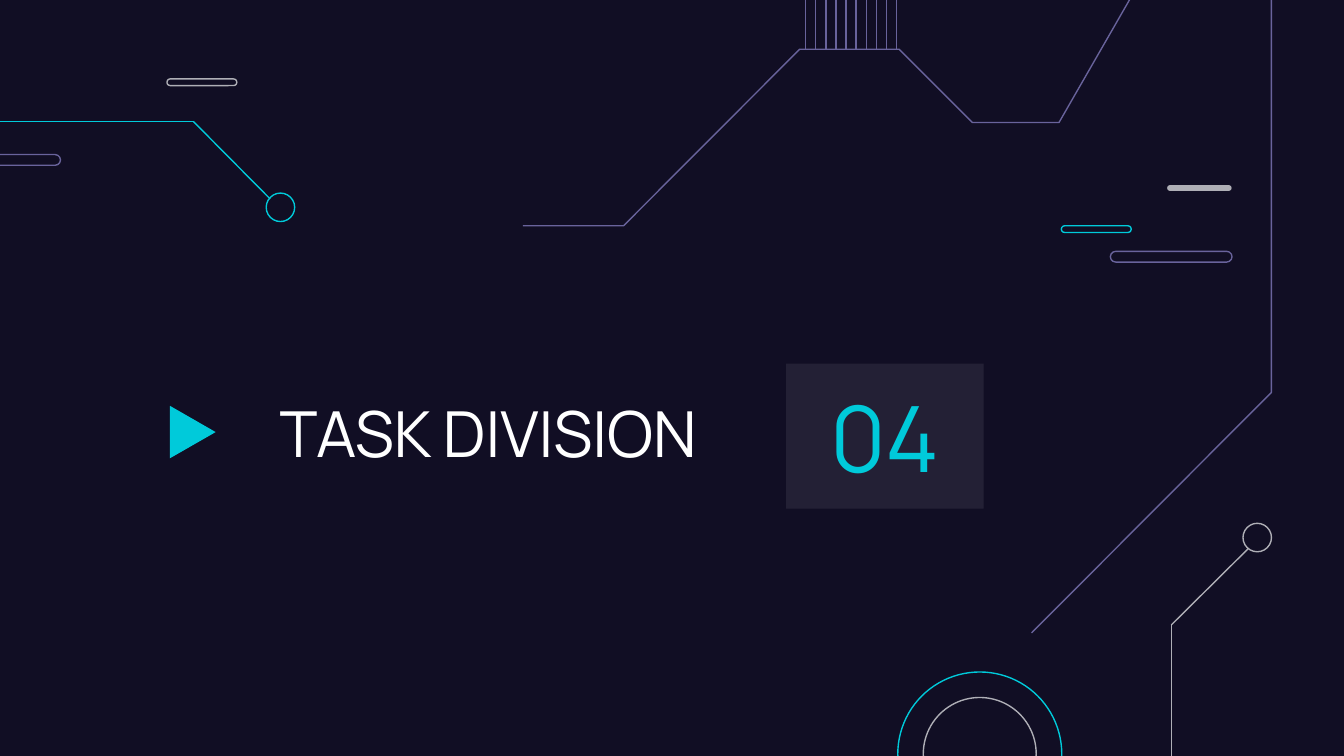
from lxml.etree import SubElement
from pptx import Presentation
from pptx.dml.color import RGBColor
from pptx.enum.shapes import MSO_CONNECTOR as Link, MSO_SHAPE as Preset
from pptx.enum.text import MSO_ANCHOR as Anchor, MSO_AUTO_SIZE as Fit, PP_ALIGN as Align
from pptx.oxml.ns import qn
from pptx.util import Inches, Pt

COLORS = {
    "night": "110E24",
    "violet": "69639C",
    "cyan": "00CADA",
    "silver": "AFAFB6",
    "white": "FFFFFF",
}
COLUMNS = 100


def rgb(name):
    return RGBColor.from_string(COLORS[name])


def write(frame, text, size=34, color="white", align=Align.LEFT, font="Manrope"):
    frame.word_wrap = True
    frame.auto_size = Fit.NONE
    frame.vertical_anchor = Anchor.MIDDLE
    frame.margin_left = frame.margin_right = Inches(0.1)
    frame.margin_top = frame.margin_bottom = Inches(0.1)
    paragraph = frame.paragraphs[0]
    paragraph.alignment = align
    run = paragraph.add_run()
    run.text = text
    run.font.name = font
    run.font.size = Pt(size)
    run.font.color.rgb = rgb(color)


class CircuitSlide:
    def __init__(self, deck, stroke=0.75):
        self.cell = deck.slide_width / COLUMNS
        self.stroke = Pt(stroke)
        self.slide = deck.slides.add_slide(deck.slide_layouts[5])
        self.shapes = self.slide.shapes
        backdrop = self.slide.background.fill
        backdrop.solid()
        backdrop.fore_color.rgb = rgb("night")

    def grid(self, *cells):
        return [round(cell * self.cell) for cell in cells]

    def outline(self, line, color):
        line.color.rgb = rgb(color)
        line.width = self.stroke

    def title(self, text, *box):
        heading = self.shapes.title
        heading.left, heading.top, heading.width, heading.height = self.grid(*box)
        write(heading.text_frame, text)

    def shape(self, preset, box, line=None, fill=None, opacity=100):
        item = self.shapes.add_shape(preset, *self.grid(*box))
        item.shadow.inherit = False
        if fill:
            item.fill.solid()
            item.fill.fore_color.rgb = rgb(fill)
            if opacity < 100:
                tint = item.fill._xPr.find(".//" + qn("a:srgbClr"))
                SubElement(tint, qn("a:alpha"), val=str(opacity * 1000))
        else:
            item.fill.background()
        if line:
            self.outline(item.line, line)
        else:
            item.line.fill.background()
        return item

    def pill(self, *box, **look):
        self.shape(Preset.ROUNDED_RECTANGLE, box, **look).adjustments[0] = 0.5

    def ring(self, x, y, radius, color):
        box = (x - radius, y - radius, 2 * radius, 2 * radius)
        self.shape(Preset.OVAL, box, line=color)

    def wire(self, start, end, color):
        wire = self.shapes.add_connector(Link.STRAIGHT, *self.grid(*start, *end))
        self.outline(wire.line, color)
        SubElement(wire._element.spPr, qn("a:effectLst"))

    def trace(self, points, color):
        first, *others = [self.grid(*point) for point in points]
        builder = self.shapes.build_freeform(*first)
        builder.add_line_segments(others, close=False)
        track = builder.convert_to_shape()
        track.shadow.inherit = False
        track.fill.background()
        self.outline(track.line, color)


def main():
    deck = Presentation()
    deck.slide_width = Inches(10)
    deck.slide_height = deck.slide_width * 9 // 16
    page = CircuitSlide(deck)

    for tooth in range(10):
        x = 59.95 + tooth * 0.75
        page.wire((x, 3.65), (x, -38.6), "violet")

    page.ring(72.9, 56.1, 6.1, "cyan")
    page.ring(72.9, 56.1, 4.2, "silver")

    page.pill(12.42, 5.87, 5.2, 0.5, line="silver")
    page.pill(-4.5, 11.5, 9, 0.8, line="violet")

    page.title("TASK DIVISION", 19.8, 26.75, 40, 10.8)
    number = page.shape(Preset.RECTANGLE, (58.5, 27.05, 14.7, 10.8), fill="white", opacity=8)
    write(number.text_frame, "04", size=49, color="cyan", align=Align.CENTER)
    pointer = page.shape(Preset.FLOWCHART_MERGE, (12.4, 30.45, 3.9, 3.4), fill="cyan")
    pointer.rotation = 270

    page.trace([(76.75, 47.1), (94.6, 29.2), (94.6, -17.7)], "violet")
    page.trace([(38.9, 16.8), (46.4, 16.8), (59.5, 3.67), (66.9, 3.67),
                (72.35, 9.12), (78.8, 9.12), (86.8, -4.8), (104.6, -4.8)], "violet")

    for bend, edge, tip, node, color in (
        ((87.15, 46.5), (87.15, 75.7), (92.9, 40.8), (93.55, 40), "silver"),
        ((14.4, 9.05), (-14.8, 9.05), (20.1, 14.8), (20.87, 15.43), "cyan"),
    ):
        page.wire(bend, edge, color)
        page.wire(bend, tip, color)
        page.ring(*node, 1.06, color)

    page.pill(86.84, 13.77, 4.8, 0.44, fill="silver")
    page.pill(78.97, 16.8, 5.2, 0.5, line="cyan")
    page.pill(82.62, 18.7, 9.05, 0.8, line="violet")

    deck.save("out.pptx")


if __name__ == "__main__":
    main()
